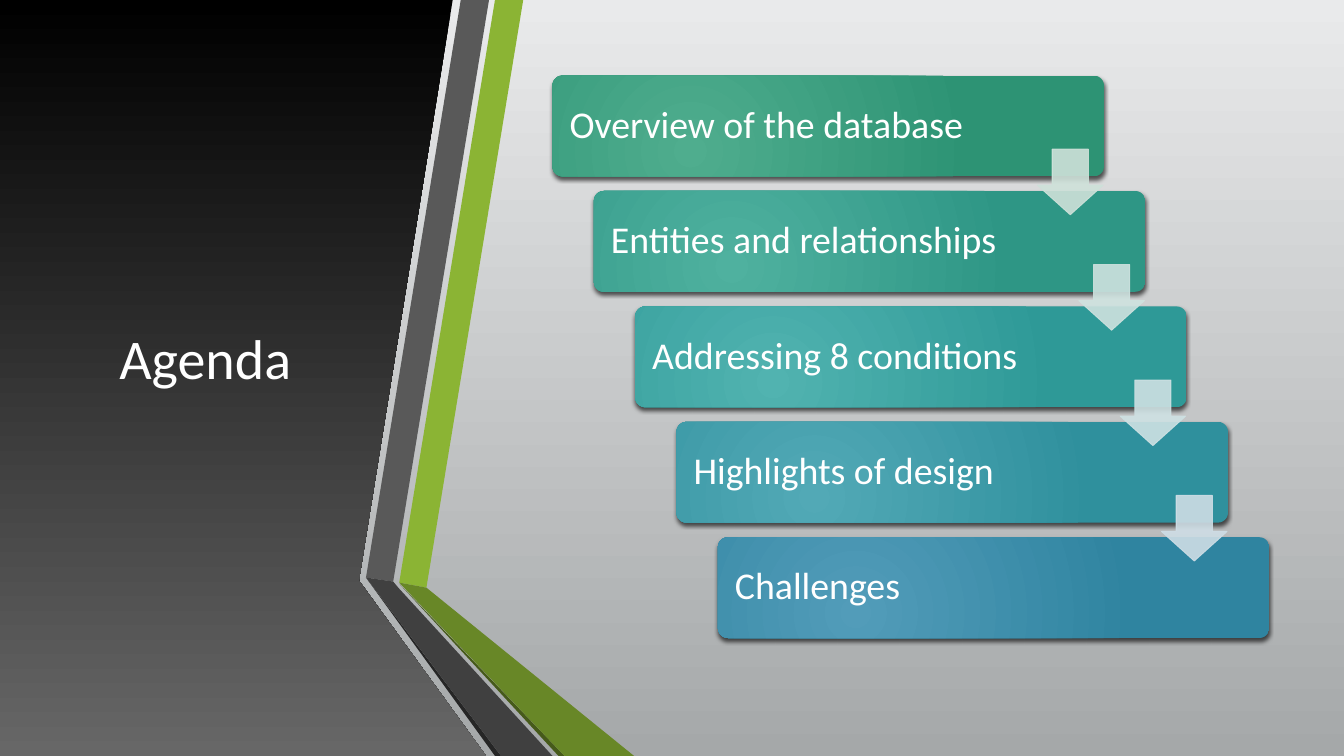
from lxml import etree
from pptx import Presentation
from pptx import util as u
from pptx.dml.color import RGBColor
from pptx.enum import shapes, text
from pptx.oxml import ns

WHITE = RGBColor(0xFF, 0xFF, 0xFF)
BLACK = RGBColor(0x00, 0x00, 0x00)
PANEL_GRAY = RGBColor(0x67, 0x67, 0x67)
BACK_TOP = RGBColor(0xE9, 0xEA, 0xEB)
BACK_BOTTOM = RGBColor(0xA5, 0xA8, 0xA9)
LIME = RGBColor(0x8B, 0xB4, 0x34)
OLIVE = RGBColor(0x68, 0x87, 0x27)
DARK_OLIVE = RGBColor(0x46, 0x5A, 0x1A)
GRAY = RGBColor(0x59, 0x59, 0x59)
DARK_GRAY = RGBColor(0x40, 0x40, 0x40)
CHARCOAL = RGBColor(0x26, 0x26, 0x26)

FONT = "Calibri"
PANEL = [(0, 0), (4.49, 0), (3.56, 5.76), (4.82, 7.5), (0, 7.5)]
RIBBONS = [
    (LIME, [(3.96, 5.78), (4.23, 5.83), (5.19, 0), (4.91, 0)]),
    (GRAY, [(4.85, 0), (4.57, 0), (3.63, 5.73), (3.9, 5.77)]),
    (CHARCOAL, [(3.63, 5.73), (4.91, 7.5), (4.97, 7.5)]),
    (DARK_OLIVE, [(3.96, 5.79), (5.54, 7.5), (5.6, 7.5)]),
    (OLIVE, [(3.96, 5.78), (5.6, 7.5), (6.29, 7.5), (4.23, 5.83)]),
    (DARK_GRAY, [(5.48, 7.5), (3.95, 5.83), (3.9, 5.77), (3.63, 5.73), (4.97, 7.5)]),
]
AGENDA = [
    ("Overview of the database", RGBColor(0x4F, 0xAD, 0x8E), RGBColor(0x2D, 0x93, 0x74)),
    ("Entities and relationships", RGBColor(0x4F, 0xB1, 0x9F), RGBColor(0x2E, 0x96, 0x85)),
    ("Addressing 8 conditions", RGBColor(0x51, 0xB3, 0xB0), RGBColor(0x2E, 0x99, 0x97)),
    ("Highlights of design", RGBColor(0x52, 0xA9, 0xB6), RGBColor(0x2F, 0x90, 0x9D)),
    ("Challenges", RGBColor(0x52, 0x9C, 0xB9), RGBColor(0x2F, 0x84, 0xA0)),
]
ARROW_COLORS = [
    RGBColor(0xCE, 0xE1, 0xD9),
    RGBColor(0xCE, 0xE2, 0xDF),
    RGBColor(0xCE, 0xE1, 0xE3),
    RGBColor(0xCE, 0xDD, 0xE5),
]
STEP_X, STEP_Y = 0.41, 1.145


def add_child(parent, tag, **attributes):
    """Append a DrawingML element to parent and return it."""
    return etree.SubElement(parent, ns.qn(tag), attributes)


def fill_gradient(shape, start, end):
    """Fill a shape from start at the top to end at the bottom."""
    shape.fill.gradient()
    shape.fill.gradient_angle = 270
    for stop, color, position in zip(shape.fill.gradient_stops, (start, end), (0, 1)):
        stop.color.rgb = color
        stop.position = position


def make_radial(shape):
    """Turn the gradient of a shape into a circular one."""
    gradient = shape._element.spPr.find(ns.qn("a:gradFill"))
    gradient.remove(gradient.find(ns.qn("a:lin")))
    circle = add_child(gradient, "a:path", path="circle")
    add_child(circle, "a:fillToRect", l="50000", t="100000", r="100000", b="50000")


def cast_shadow(shape):
    """Give a shape a soft shadow just below it."""
    effects = shape._element.spPr.find(ns.qn("a:effectLst"))
    shadow = add_child(effects, "a:outerShdw", blurRad=str(u.Pt(3)), dist=str(u.Pt(2)),
                       dir="5400000", algn="ctr", rotWithShape="0")
    add_child(add_child(shadow, "a:srgbClr", val=str(BLACK)), "a:alpha", val="64000")


def write_text(shape, content, size=27, align=text.PP_ALIGN.LEFT, inset=0.1, spacing=1.0):
    """Write one vertically centred white paragraph into a shape."""
    frame = shape.text_frame
    frame.word_wrap = True
    frame.vertical_anchor = text.MSO_ANCHOR.MIDDLE
    frame.margin_left = frame.margin_right = u.Inches(inset)
    para = frame.paragraphs[0]
    para.alignment = align
    para.line_spacing = spacing
    span = para.add_run()
    span.text = content
    span.font.name = FONT
    span.font.size = u.Pt(size)
    span.font.color.rgb = WHITE


def add_preset(page, kind, left, top, width, height, adjustments=()):
    """Add a preset shape without outline or shadow."""
    shape = page.shapes.add_shape(kind, *map(u.Inches, (left, top, width, height)))
    shape.shadow.inherit = False
    shape.line.fill.background()
    for index, value in enumerate(adjustments):
        shape.adjustments[index] = value
    return shape


def add_polygon(page, points):
    """Add a closed outline through points given in inches."""
    corners = [(u.Inches(x), u.Inches(y)) for x, y in points]
    builder = page.shapes.build_freeform(*corners[0])
    builder.add_line_segments(corners[1:], close=True)
    shape = builder.convert_to_shape()
    shape.shadow.inherit = False
    shape.line.fill.background()
    return shape


def add_bar(page, index, label, light, dark):
    """Add one agenda step of the staircase."""
    bar = add_preset(page, shapes.MSO_SHAPE.ROUNDED_RECTANGLE, 5.48 + index * STEP_X,
                     0.75 + index * STEP_Y, 5.47, 1, [0.1])
    fill_gradient(bar, light, dark)
    make_radial(bar)
    cast_shadow(bar)
    write_text(bar, label, inset=0.14, spacing=0.9)


def add_arrow(page, index, color):
    """Add a translucent arrow from one step to the next."""
    arrow = add_preset(page, shapes.MSO_SHAPE.DOWN_ARROW, 10.29 + index * STEP_X,
                       1.48 + index * STEP_Y, 0.65, 0.65, [0.45, 0.55])
    arrow.adjustments[0], arrow.adjustments[1] = 0.55, 0.45
    arrow.fill.solid()
    arrow.fill.fore_color.rgb = color
    arrow.line.color.rgb = color
    arrow.line.width = u.Pt(0.75)
    for paint in arrow._element.spPr.iter(ns.qn("a:srgbClr")):
        add_child(paint, "a:alpha", val="90000")


def main():
    """Build the agenda slide and save it."""
    deck = Presentation()
    deck.slide_width, deck.slide_height = u.Inches(13.33), u.Inches(7.5)
    page = deck.slides.add_slide(deck.slide_layouts[6])

    backdrop = add_preset(page, shapes.MSO_SHAPE.RECTANGLE, 0, 0, 13.33, 7.5)
    fill_gradient(backdrop, BACK_TOP, BACK_BOTTOM)
    fill_gradient(add_polygon(page, PANEL), BLACK, PANEL_GRAY)

    title = page.shapes.add_textbox(*map(u.Inches, (0.59, 0.75, 2.89, 5.58)))
    write_text(title, "Agenda", size=40, align=text.PP_ALIGN.CENTER)

    for color, points in RIBBONS:
        ribbon = add_polygon(page, points)
        ribbon.fill.solid()
        ribbon.fill.fore_color.rgb = color

    for index, step in enumerate(AGENDA):
        add_bar(page, index, *step)
    for index, color in enumerate(ARROW_COLORS):
        add_arrow(page, index, color)

    deck.save("out.pptx")


main()
